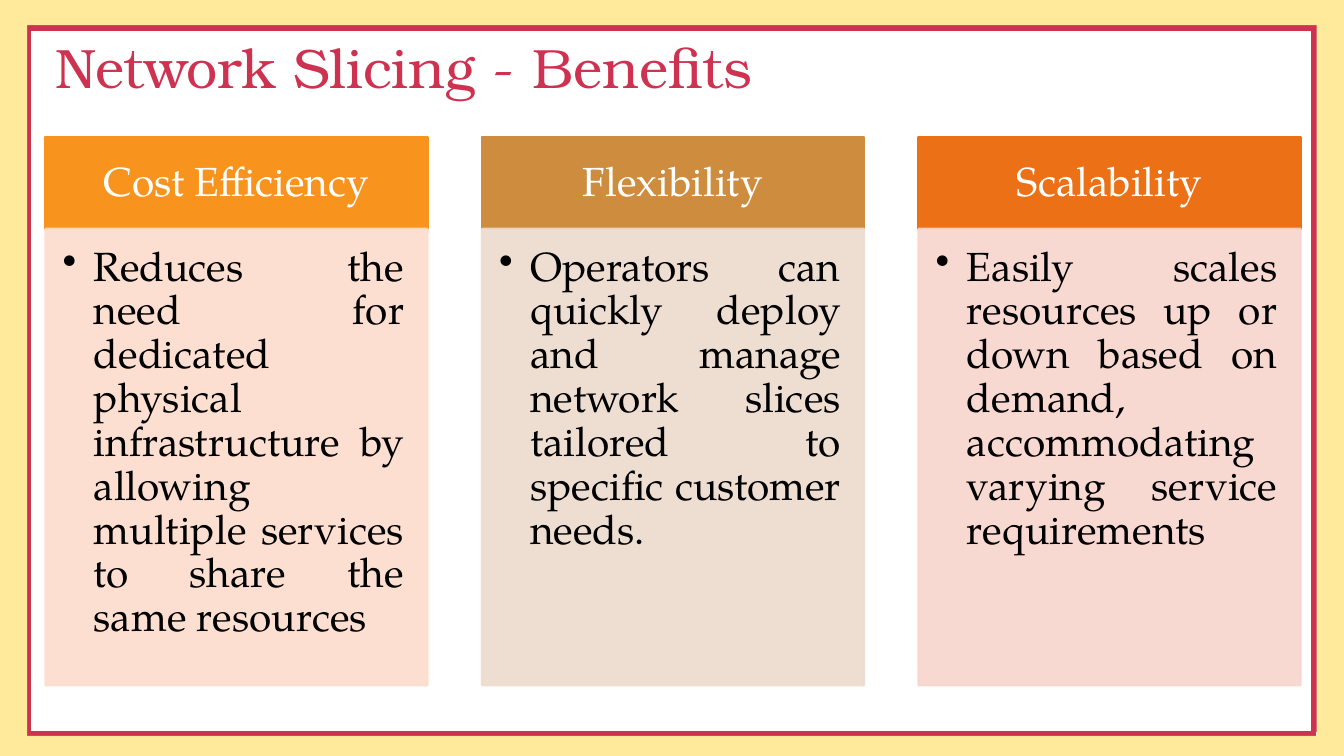
from lxml.etree import SubElement
from pptx import Presentation
from pptx.dml.color import RGBColor
from pptx.enum.shapes import MSO_CONNECTOR as Connector, MSO_SHAPE as Preset
from pptx.enum.text import MSO_ANCHOR as Anchor, MSO_AUTO_SIZE as AutoSize, PP_ALIGN as Align
from pptx.oxml.ns import qn
from pptx.util import Inches, Pt

COLORS = {
    "crimson": "CE3251", "band": "FFEA9C", "white": "FFFFFF", "black": "000000",
    "amber": "F8931D", "amber tint": "FCDCCD",
    "bronze": "CE8D3E", "bronze tint": "EDDBCE",
    "orange": "EC7016", "orange tint": "F8D5CC",
}
BENEFITS = [
    ("Cost Efficiency", "amber",
     "Reduces the need for dedicated physical infrastructure by allowing "
     "multiple services to share the same resources"),
    ("Flexibility", "bronze",
     "Operators can quickly deploy and manage network slices tailored to "
     "specific customer needs."),
    ("Scalability", "orange",
     "Easily scales resources up or down based on demand, accommodating "
     "varying service requirements"),
]
BANDS = [(0, 0, 13.33, 0.25), (0, 7.3, 13.33, 0.2),
         (0, 0.25, 0.27, 7.05), (13.06, 0.25, 0.27, 7.05)]
BORDERS = [(0.26, 7.28, 13.05, 7.28), (0.28, 0.28, 0.28, 7.3),
           (0.27, 0.28, 13.06, 0.28), (13.03, 0.24, 13.03, 7.26)]


class SlideBuilder:
    """Hold the fonts, colours and current page, and draw each kind of element."""

    title_font = "TeX Gyre Bonum"
    body_font = "TeX Gyre Pagella"

    def __init__(self, page):
        self.page = page

    def color(self, name):
        return RGBColor.from_string(COLORS[name])

    def set_text(self, box, text, font, size, color, align, anchor, insets, bullet=False):
        frame = box.text_frame
        frame.word_wrap = True
        frame.auto_size = AutoSize.NONE
        frame.vertical_anchor = anchor
        (frame.margin_left, frame.margin_top,
         frame.margin_right, frame.margin_bottom) = map(Inches, insets)
        frame.text = text
        para = frame.paragraphs[0]
        para.alignment = align
        para.line_spacing = 0.9
        para.space_before = Pt(0)
        if bullet:
            props = para._p.get_or_add_pPr()
            props.set("marL", str(Inches(0.31)))
            props.set("indent", str(Inches(-0.31)))
            SubElement(props, qn("a:buChar"), char="•")
        para.font.name = font
        para.font.size = Pt(size)
        para.font.color.rgb = self.color(color)

    def title(self, text, place):
        box = self.page.shapes.title
        box.left, box.top, box.width, box.height = map(Inches, place)
        self.set_text(box, text, self.title_font, 39.6, "crimson", Align.LEFT,
                      Anchor.MIDDLE, (0.1, 0.05, 0.1, 0.05))

    def rect(self, place, color, outlined=False, opacity=100):
        box = self.page.shapes.add_shape(Preset.RECTANGLE, *map(Inches, place))
        box.shadow.inherit = False
        box.fill.solid()
        box.fill.fore_color.rgb = self.color(color)
        if outlined:
            box.line.color.rgb = self.color(color)
            box.line.width = Pt(1.5)
        else:
            box.line.fill.background()
        if opacity < 100:
            for paint in box._element.spPr.iter(qn("a:srgbClr")):
                SubElement(paint, qn("a:alpha"), val=str(opacity * 1000))
        return box

    def border(self, ends):
        line = self.page.shapes.add_connector(Connector.STRAIGHT, *map(Inches, ends))
        line.line.color.rgb = self.color("crimson")
        line.line.width = Pt(4.5)
        SubElement(line._element.spPr, qn("a:effectLst"))

    def card(self, left, heading, color, text):
        header = self.rect((left, 1.36, 3.79, 0.91), color, outlined=True)
        self.set_text(header, heading, self.body_font, 29, "white", Align.CENTER,
                      Anchor.MIDDLE, (0.23, 0.13, 0.23, 0.13))
        body = self.rect((left, 2.27, 3.79, 4.53), f"{color} tint",
                         outlined=True, opacity=90)
        self.set_text(body, text, self.body_font, 29, "black", Align.JUSTIFY,
                      Anchor.TOP, (0.17, 0.17, 0.23, 0.25), bullet=True)


def main():
    deck = Presentation()
    deck.slide_width, deck.slide_height = Inches(13.33), Inches(7.5)
    builder = SlideBuilder(deck.slides.add_slide(deck.slide_layouts[5]))
    for ends in BORDERS:
        builder.border(ends)
    for place in BANDS:
        builder.rect(place, "band")
    builder.title("Network Slicing - Benefits", (0.45, 0.35, 12.45, 0.69))
    for column, (heading, color, text) in enumerate(BENEFITS):
        builder.card(0.45 + column * 4.33, heading, color, text)
    deck.save("out.pptx")


if __name__ == "__main__":
    main()
